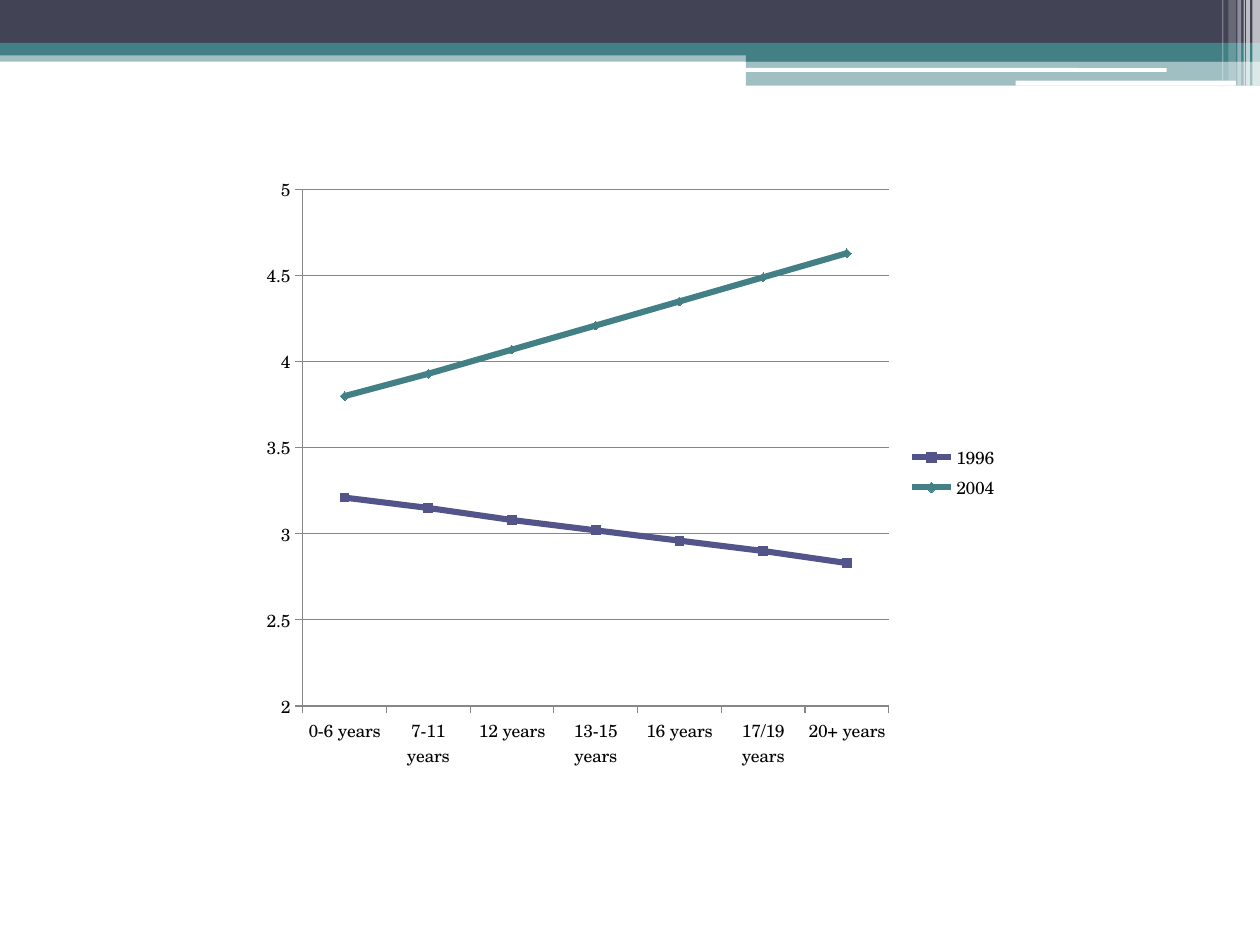
from pptx import Presentation
from pptx.chart.data import CategoryChartData
from pptx.dml.color import RGBColor
from pptx.enum.chart import XL_CHART_TYPE, XL_LEGEND_POSITION, XL_MARKER_STYLE, XL_TICK_MARK
from pptx.enum.shapes import MSO_SHAPE
from pptx.oxml import parse_xml
from pptx.oxml.ns import nsdecls, qn
from pptx.oxml.xmlchemy import OxmlElement
from pptx.util import Inches, Pt

LINES = XL_CHART_TYPE.LINE_MARKERS
RIGHT = XL_LEGEND_POSITION.RIGHT
SQUARE, DIAMOND = XL_MARKER_STYLE.SQUARE, XL_MARKER_STYLE.DIAMOND
OUT = XL_TICK_MARK.OUTSIDE
RECT, ROUND = MSO_SHAPE.RECTANGLE, MSO_SHAPE.ROUNDED_RECTANGLE

WHITE = RGBColor(0xFF, 0xFF, 0xFF)
BLACK = RGBColor(0, 0, 0)
SLATE = RGBColor(0x42, 0x44, 0x56)
TEAL = RGBColor(0x43, 0x80, 0x86)
VIOLET = RGBColor(0x53, 0x54, 0x8A)
GREY = RGBColor(0x86, 0x86, 0x86)
FACE = "TeX Gyre Schola"

AGES = ["0-6 years", "7-11 years", "12 years", "13-15 years",
        "16 years", "17/19 years", "20+ years"]
YEARS = [
    ("1996", [3.21, 3.15, 3.08, 3.02, 2.96, 2.9, 2.83], VIOLET, SQUARE),
    ("2004", [3.8, 3.93, 4.07, 4.21, 4.35, 4.49, 4.63], TEAL, DIAMOND),
]


def add_bar(slide, box, color, alpha=100, kind=RECT):
    bar = slide.shapes.add_shape(kind, *map(Inches, box))
    bar.shadow.inherit = False
    bar.fill.solid()
    bar.fill.fore_color.rgb = color
    bar.line.fill.background()
    if alpha < 100:
        tint = next(bar.element.spPr.iter(qn("a:srgbClr")))
        node = OxmlElement("a:alpha")
        node.set("val", str(alpha * 1000))
        tint.append(node)


def add_bands(slide, box):
    left, top, width, height = box
    bands = [
        (0, 0.4, 1, 0.09, TEAL, 50, RECT),
        (0, 0, 1, 0.34, SLATE, 100, RECT),
        (0, 0.34, 1, 0.1, TEAL, 100, RECT),
        (0.592, 0.39, 0.408, 0.1, TEAL, 100, RECT),
        (0.592, 0.48, 0.408, 0.2, TEAL, 50, RECT),
        (0.591, 0.54, 0.335, 0.03, WHITE, 100, ROUND),
        (0.806, 0.64, 0.175, 0.04, WHITE, 100, ROUND),
    ]
    for x, y, w, h, color, alpha, kind in bands:
        spot = (left + x * width, top + y, w * width, h)
        add_bar(slide, spot, color, alpha, kind)
    stripes = [(0.06, 0.06, 0, 65), (0.11, 0.03, 0, 65), (0.13, 0.01, 0, 60),
               (0.18, 0.03, 0, 40), (0.25, 0.06, 0.04, 20), (0.3, 0.01, 0.04, 30)]
    for inset, thick, short, alpha in stripes:
        spot = (left + width - inset, top, thick, height - short)
        add_bar(slide, spot, WHITE, alpha)


def set_line(line, color, size):
    line.color.rgb = color
    line.width = Pt(size)


def set_font(font, size=10, color=BLACK):
    font.name = FACE
    font.size = Pt(size)
    font.color.rgb = color


def set_plot(chart, x, y, w, h):
    area = next(chart.element.iter(qn("c:plotArea")))
    for old in area.findall(qn("c:layout")):
        area.remove(old)
    area.insert(0, parse_xml(
        f'<c:layout {nsdecls("c")}><c:manualLayout><c:layoutTarget val="inner"/>'
        '<c:xMode val="edge"/><c:yMode val="edge"/>'
        f'<c:x val="{x}"/><c:y val="{y}"/><c:w val="{w}"/><c:h val="{h}"/>'
        '</c:manualLayout></c:layout>'))


def add_trend(slide, box):
    data = CategoryChartData()
    data.categories = AGES
    for name, vals, _, _ in YEARS:
        data.add_series(name, vals)
    chart = slide.shapes.add_chart(LINES, *map(Inches, box), data).chart
    set_font(chart.font)
    chart.has_title = False
    chart.has_legend = True
    chart.legend.position = RIGHT
    chart.legend.include_in_layout = False
    scale = chart.value_axis
    scale.minimum_scale, scale.maximum_scale = 2, 5
    scale.major_unit = 0.5
    scale.has_major_gridlines = True
    set_line(scale.major_gridlines.format.line, GREY, 0.75)
    for axis in (scale, chart.category_axis):
        axis.major_tick_mark = OUT
        set_line(axis.format.line, GREY, 0.75)
    plot = chart.plots[0]
    plot.vary_by_categories = False
    for line, (_, _, color, style) in zip(plot.series, YEARS):
        line.smooth = False
        set_line(line.format.line, color, 3.5)
        mark = line.marker
        mark.style, mark.size = style, 5
        mark.format.fill.solid()
        mark.format.fill.fore_color.rgb = color
        set_line(mark.format.line, color, 0.75)
    set_plot(chart, 0.07, 0.04, 0.77, 0.84)


def main():
    deck = Presentation()
    deck.slide_width, deck.slide_height = Inches(10), Inches(7.5)
    slide = deck.slides.add_slide(deck.slide_layouts[6])
    add_bands(slide, (0, 0, 10, 0.68))
    add_trend(slide, (1.98, 1.31, 6.04, 4.88))
    deck.save("out.pptx")


if __name__ == "__main__":
    main()
